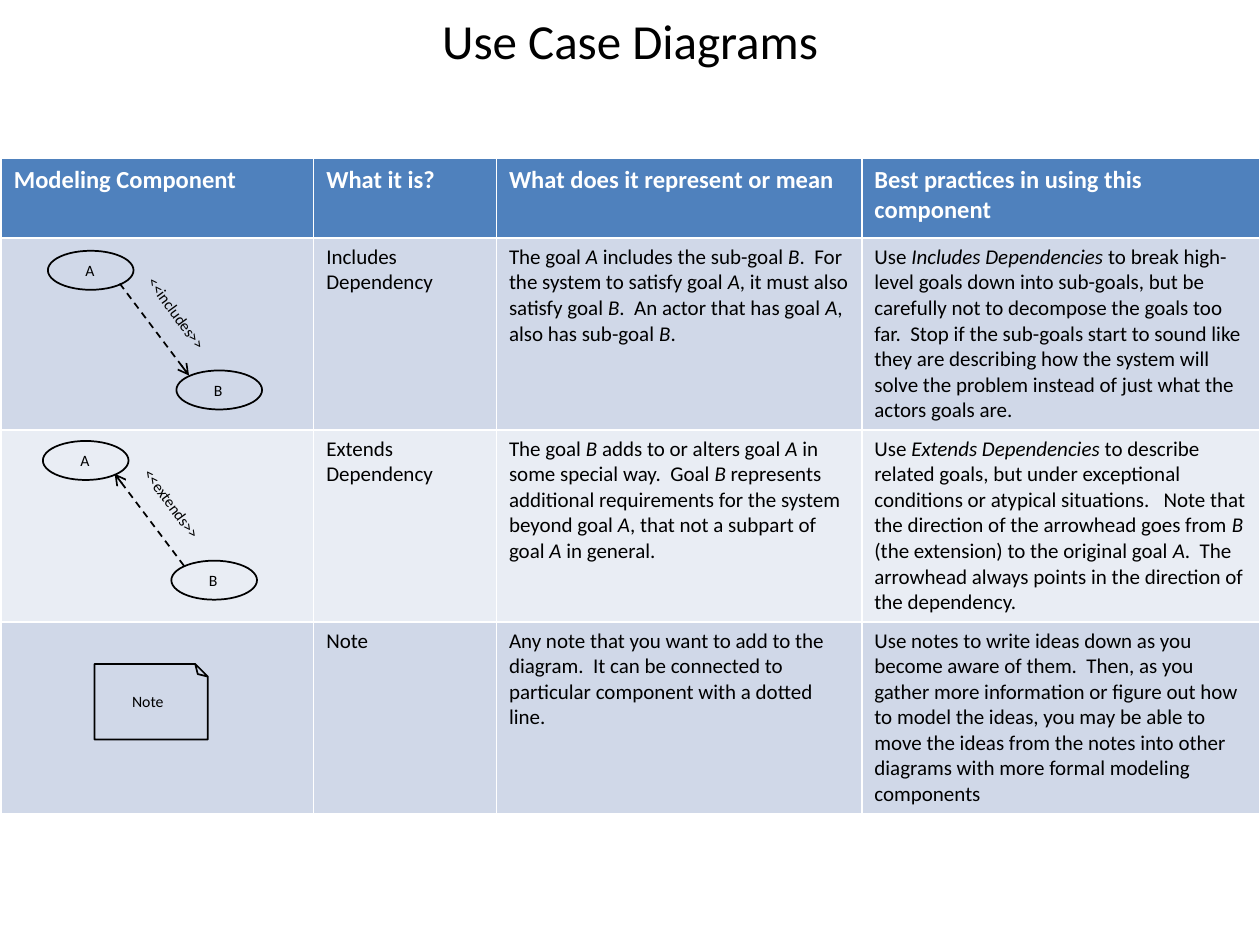
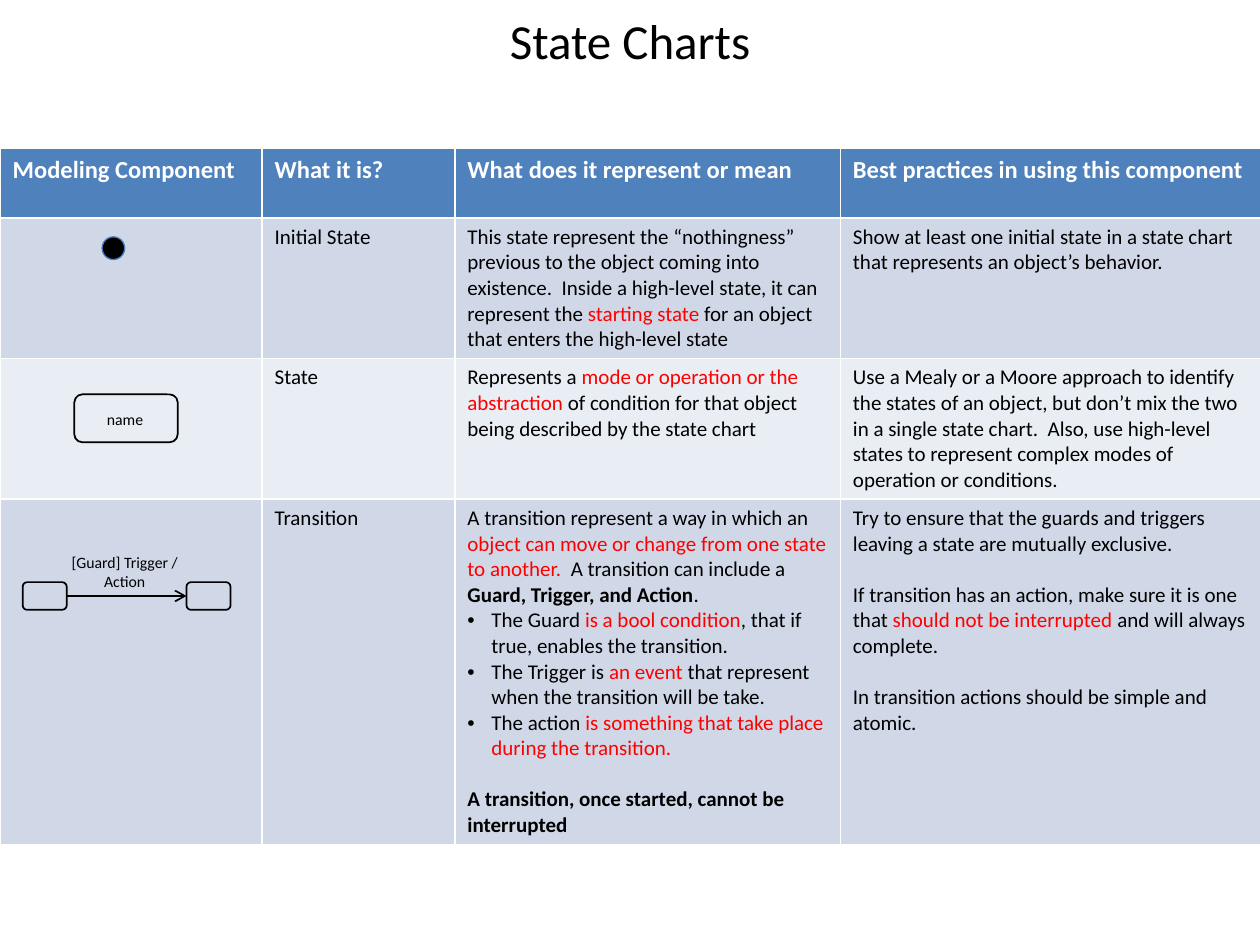
from lxml import etree
from pptx import Presentation
from pptx import util as u
from pptx.dml.color import RGBColor
from pptx.enum import dml, shapes, text
from pptx.oxml import ns

COLORS = {"header": "4F81BD", "odd": "D0D8E8", "even": "E9EDF4", "white": "FFFFFF",
          "black": "000000", "red": "FF0000", "dot_line": "4B7EBC"}
FONT = "Calibri"
HEADERS = ["Modeling Component", "What it is?", "What does it represent or mean",
           "Best practices in using this component"]

# _italic_  ~red~  ^bold^ ; a leading "•" makes a bullet, a leading "¶" a gap above
MARKS = {"_": "italic", "~": "red", "^": "bold"}
USE_CASES = {
    "title": "Use Case Diagrams",
    "at": (0.01, 1.26), "cols": [2.48, 1.45, 2.9, 3.16], "rows": [0.63, 1.5, 1.5, 1.5],
    "body": [
        [["Includes Dependency"],
         ["The goal _A_ includes the sub-goal _B_.  For the system to satisfy goal _A_, it must "
          "also satisfy goal _B_.  An actor that has goal _A_, also has sub-goal _B_."],
         ["Use _Includes Dependencies_ to break high-level goals down into sub-goals, but be "
          "carefully not to decompose the goals too far.  Stop if the sub-goals start to sound "
          "like they are describing how the system will solve the problem instead of just what "
          "the actors goals are."]],
        [["Extends", "Dependency"],
         ["The goal _B_ adds to or alters goal _A_ in some special way.  Goal _B_ represents "
          "additional requirements for the system beyond goal _A_, that not a subpart of goal "
          "_A_ in general."],
         ["Use _Extends Dependencies_ to describe related goals, but under exceptional "
          "conditions or atypical situations.   Note that the direction of the arrowhead goes "
          "from _B_ (the extension) to the original goal _A_.  The arrowhead always points in "
          "the direction of the dependency."]],
        [["Note"],
         ["Any note that you want to add to the diagram.  It can be connected to particular "
          "component with a dotted line."],
         ["Use notes to write ideas down as you become aware of them.  Then, as you gather more "
          "information or figure out how to model the ideas, you may be able to move the ideas "
          "from the notes into other diagrams with more formal modeling components"]],
    ],
}
STATES = {
    "title": "State Charts",
    "at": (0, 1.18), "cols": [2.08, 1.53, 3.06, 3.34], "rows": [0.55, 1.11, 1.11, 2.73],
    "body": [
        [["Initial State"],
         ["This state represent the “nothingness” previous to the object coming into existence.  "
          "Inside a high-level state, it can represent the ~starting state~ for an object that "
          "enters the high-level state"],
         ["Show at least one initial state in a state chart that represents an object’s "
          "behavior."]],
        [["State"],
         ["Represents a ~mode or operation or the abstraction ~of condition for that object "
          "being described by the state chart"],
         ["Use a Mealy or a Moore approach to identify the states of an object, but don’t mix "
          "the two in a single state chart.  Also, use high-level states to represent complex "
          "modes of operation or conditions."]],
        [["Transition"],
         ["A transition represent a way in which an ~object can move or change from one state "
          "to another.  ~A transition can include a ^Guard, Trigger, and Action^.",
          "•The Guard ~is a bool condition~, that if true, enables the transition.",
          "•The Trigger is ~an event ~that represent when the transition will be take.",
          "•The action ~is something that take place during the transition.~",
          "¶^A transition, once started, cannot be interrupted^"],
         ["Try to ensure that the guards and triggers leaving a state are mutually exclusive.",
          "¶If transition has an action, make sure it is one that ~should not be interrupted "
          "~and will always complete.",
          "¶In transition actions should be simple and atomic."]],
    ],
}
DEPENDENCIES = [
    {"at": (0.38, 1.99), "label": "<<includes>>", "width": 0.89, "to_b": True},
    {"at": (0.34, 3.5), "label": "<<extends>>", "width": 0.86, "to_b": False},
]
NOTE = (0.75, 5.27, 0.9, 0.6)
INITIAL_STATE = (0.81, 1.88, 0.18, 0.18)
STATE = (0.59, 3.13, 0.82, 0.38)
TRANSITION_ENDS = [(0.18, 4.62, 0.35, 0.22), (1.48, 4.62, 0.35, 0.22)]


def rgb(name):
    return RGBColor.from_string(COLORS[name])


def inches(values):
    return [u.Inches(v) for v in values]


def style_run(r, size, color="black", bold=False, italic=False):
    f = r.font
    f.name, f.size, f.bold, f.italic = FONT, u.Pt(size), bold, italic
    f.color.rgb = rgb(color)


def split_marks(line):
    chunk, on = "", set()
    for ch in line:
        if ch in MARKS:
            if chunk:
                yield chunk, set(on)
            chunk = ""
            on ^= {MARKS[ch]}
        else:
            chunk += ch
    if chunk:
        yield chunk, on


def add_bullet(p):
    pPr = p._p.get_or_add_pPr()
    pPr.set("marL", str(u.Inches(0.19)))
    pPr.set("indent", str(-u.Inches(0.19)))
    etree.SubElement(pPr, ns.qn("a:buFont")).set("typeface", "Arial")
    etree.SubElement(pPr, ns.qn("a:buChar")).set("char", "•")


def fill_cell(cell, lines, fill, size=12, color="black", bold=False):
    cell.fill.solid()
    cell.fill.fore_color.rgb = rgb(fill)
    tf = cell.text_frame
    for i, line in enumerate(lines):
        p = tf.add_paragraph() if i else tf.paragraphs[0]
        if line[0] == "•":
            add_bullet(p)
        elif line[0] == "¶":
            p.space_before = u.Pt(14.6)
        for chunk, on in split_marks(line.lstrip("•¶")):
            r = p.add_run()
            r.text = chunk
            style_run(r, size, "red" if "red" in on else color,
                      bold or "bold" in on, "italic" in on)


def add_text(s, box, content, size=9, align=None, rotation=0, wrap=False):
    sp = s.shapes.add_textbox(*inches(box))
    sp.rotation = rotation
    tf = sp.text_frame
    tf.word_wrap = wrap
    tf.auto_size = text.MSO_AUTO_SIZE.NONE if wrap else text.MSO_AUTO_SIZE.SHAPE_TO_FIT_TEXT
    tf.text = content
    for p in tf.paragraphs:
        p.alignment = align
        for r in p.runs:
            style_run(r, size)
    return sp


def add_outline(s, kind, box, fill=None, line="black", width=1):
    sp = s.shapes.add_shape(kind, *inches(box))
    sp.shadow.inherit = False
    if fill:
        sp.fill.solid()
        sp.fill.fore_color.rgb = rgb(fill)
    else:
        sp.fill.background()
    sp.line.color.rgb = rgb(line)
    sp.line.width = u.Pt(width)
    return sp


def add_arrow(s, start, end, dashed=False):
    c = s.shapes.add_connector(shapes.MSO_CONNECTOR.STRAIGHT, *inches(start + end))
    c.line.color.rgb = rgb("black")
    c.line.width = u.Pt(1)
    if dashed:
        c.line.dash_style = dml.MSO_LINE.DASH
    etree.SubElement(c.line._get_or_add_ln(), ns.qn("a:tailEnd")).set("type", "arrow")
    etree.SubElement(c._element.spPr, ns.qn("a:effectLst"))


def add_goal(s, x, y, name):
    add_outline(s, shapes.MSO_SHAPE.OVAL, (x, y, 0.68, 0.31))
    add_text(s, (x + 0.2, y + 0.03, 0.27, 0.25), name)


def add_dependency(s, at, label, width, to_b):
    x, y = at
    add_goal(s, x, y, "A")
    add_goal(s, x + 1.02, y + 0.95, "B")
    ends = [(x + 0.57, y + 0.26), (x + 1.12, y + 0.99)]
    start, end = ends if to_b else ends[::-1]
    add_arrow(s, start, end, dashed=True)
    add_text(s, (x + 1.03 - width / 2, y + 0.38, width, 0.25), label, rotation=53.8)


def add_component_slide(prs, page):
    s = prs.slides.add_slide(prs.slide_layouts[6])
    title = add_text(s, (0.5, 0.02, 9, 0.6), page["title"], 28, text.PP_ALIGN.CENTER, wrap=True)
    title.text_frame.vertical_anchor = text.MSO_ANCHOR.MIDDLE
    cols, rows = page["cols"], page["rows"]
    box = (*page["at"], sum(cols), sum(rows))
    table = s.shapes.add_table(len(rows), len(cols), *inches(box)).table
    for col, width in zip(table.columns, cols):
        col.width = u.Inches(width)
    for row, height in zip(table.rows, rows):
        row.height = u.Inches(height)
    for i, header in enumerate(HEADERS):
        fill_cell(table.cell(0, i), [header], "header", 14, "white", True)
    for i, cells in enumerate(page["body"], 1):
        for j, lines in enumerate([[]] + cells):
            fill_cell(table.cell(i, j), lines, "odd" if i % 2 else "even")
    return s


def main():
    prs = Presentation()
    prs.slide_width, prs.slide_height = inches((10, 7.5))

    s = add_component_slide(prs, USE_CASES)
    for dependency in DEPENDENCIES:
        add_dependency(s, **dependency)
    note = add_outline(s, shapes.MSO_SHAPE.FOLDED_CORNER, NOTE)
    note._element.spPr.xfrm.set("flipV", "1")
    add_text(s, (0.95, 5.44, 0.46, 0.25), "Note")

    s = add_component_slide(prs, STATES)
    add_outline(s, shapes.MSO_SHAPE.OVAL, INITIAL_STATE, "black", "dot_line", 0.75)
    add_outline(s, shapes.MSO_SHAPE.ROUNDED_RECTANGLE, STATE)
    add_text(s, (0.75, 3.2, 0.49, 0.25), "name")
    add_arrow(s, (0.53, 4.73), (1.48, 4.73))
    add_text(s, (0.46, 4.34, 1.06, 0.4), "[Guard] Trigger /\nAction", align=text.PP_ALIGN.CENTER)
    for box in TRANSITION_ENDS:
        add_outline(s, shapes.MSO_SHAPE.ROUNDED_RECTANGLE, box)

    prs.save("out.pptx")


if __name__ == "__main__":
    main()
